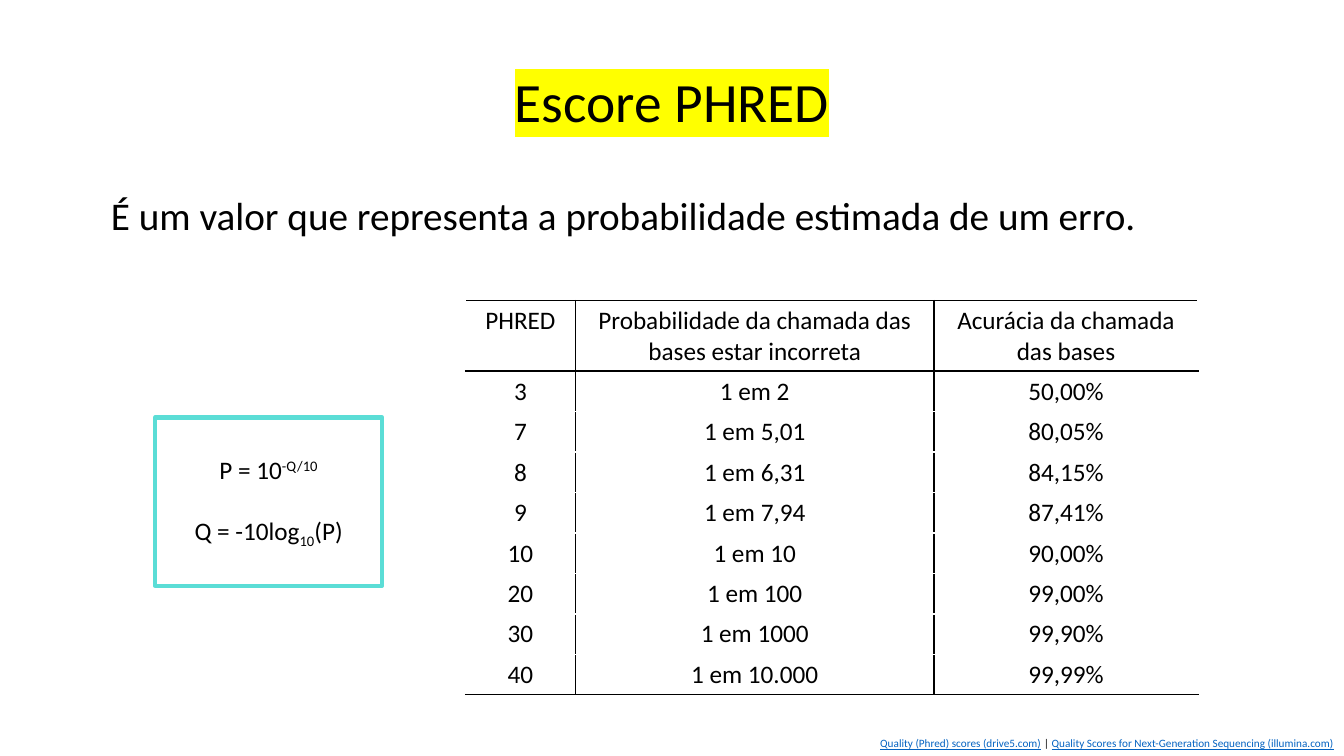
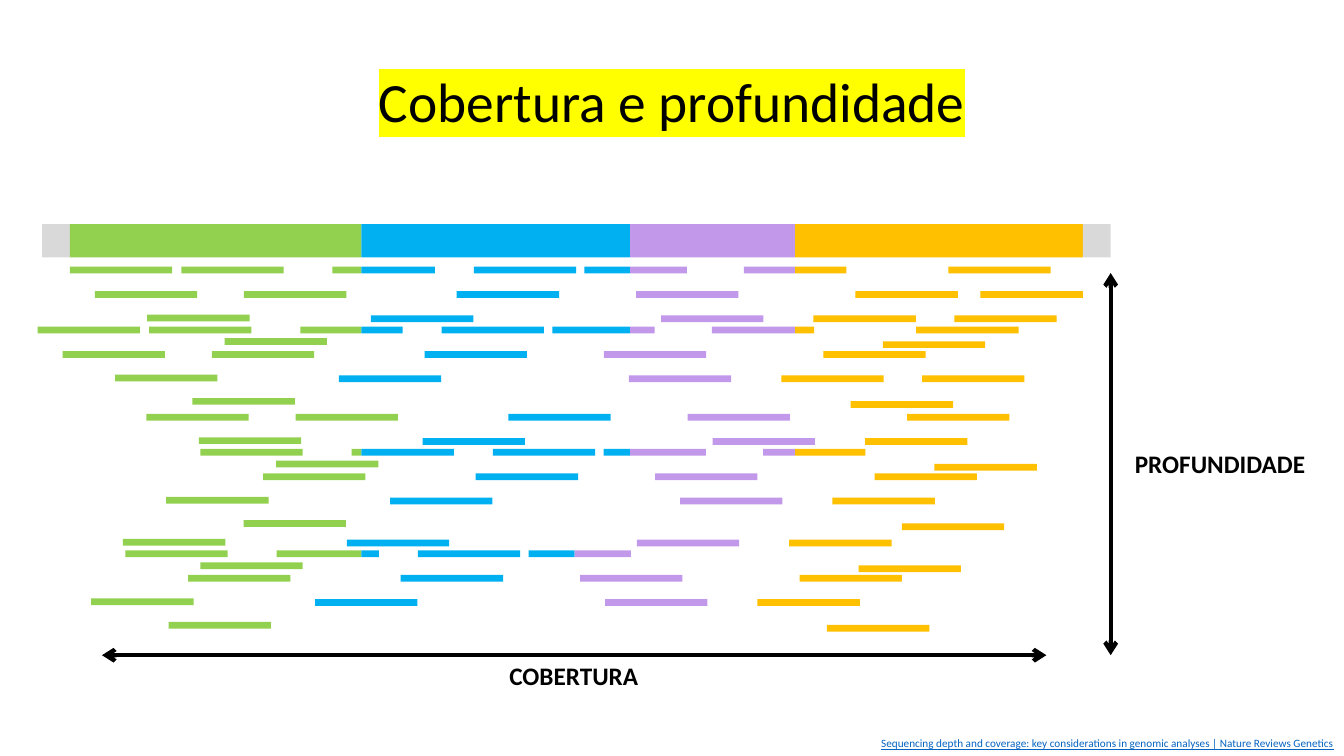
from dataclasses import dataclass

from lxml.etree import SubElement
from pptx import Presentation
from pptx.dml.color import RGBColor
from pptx.enum.shapes import MSO_CONNECTOR, MSO_SHAPE
from pptx.enum.text import MSO_ANCHOR, MSO_AUTO_SIZE, PP_ALIGN
from pptx.oxml.ns import qn
from pptx.util import Cm, Pt

# Shared look
FONT = "Calibri"
BLACK, WHITE, GRAY = "000000", "FFFFFF", "D9D9D9"
YELLOW, LINK, TEAL = "FFFF00", "0563C1", "5BDDD6"
GREEN, BLUE, PURPLE, ORANGE = "92D050", "00B0F0", "C298EA", "FFC000"
SLIDE_W, SLIDE_H = 33.87, 19.05
TITLE_LAYOUT, BODY_LAYOUT = 5, 1


@dataclass(frozen=True)
class Box:
    """Left, top, width and height in centimetres."""
    x: float
    y: float
    w: float
    h: float

    def emu(self):
        return Cm(self.x), Cm(self.y), Cm(self.w), Cm(self.h)


@dataclass(frozen=True)
class Read:
    """A sequenced fragment; one that crosses a gene edge has two colours."""
    x: float
    y: float
    color: str
    edge: float = 0
    next_color: str = ""


@dataclass(frozen=True)
class Pass:
    """One shifted repetition of the chosen reads."""
    dx: float
    dy: float
    names: str


def rgb(color: str) -> RGBColor:
    return RGBColor.from_string(color)


def put_text(p, text: str, *, size: float = 18, color: str = BLACK,
             bold: bool = False, underline: bool = False,
             baseline: int = 0, highlight: str = "") -> None:
    r = p.add_run()
    r.text = text
    f = r.font
    f.size, f.bold, f.underline, f.name = Pt(size), bold, underline, FONT
    f.color.rgb = rgb(color)
    rPr = r._r.get_or_add_rPr()
    if baseline:
        rPr.set("baseline", str(baseline * 1000))
    if highlight:
        mark = SubElement(rPr, qn("a:highlight"))
        SubElement(mark, qn("a:srgbClr"), val=highlight)
        rPr.find(qn("a:solidFill")).addnext(mark)


def add_text_box(s, box: Box, align: PP_ALIGN):
    tf = s.shapes.add_textbox(*box.emu()).text_frame
    tf.word_wrap = True
    p = tf.paragraphs[0]
    p.alignment = align
    return p


def place(sp, box: Box) -> None:
    sp.left, sp.top, sp.width, sp.height = box.emu()
    sp.text_frame.auto_size = MSO_AUTO_SIZE.NONE


def add_slide(prs, layout: int, title: str, sources: list[str]):
    s = prs.slides.add_slide(prs.slide_layouts[layout])
    place(s.shapes.title, Box(2.33, 1.75, 29.21, 1.75))
    tf = s.shapes.title.text_frame
    tf.vertical_anchor = MSO_ANCHOR.MIDDLE
    p = tf.paragraphs[0]
    p.alignment, p.line_spacing = PP_ALIGN.CENTER, 0.9
    put_text(p, title, size=39.6, highlight=YELLOW)
    # Source line at the foot
    p = add_text_box(s, Box(0, 18.44, SLIDE_W, 0.6), PP_ALIGN.RIGHT)
    for i, source in enumerate(sources):
        if i:
            put_text(p, " | ", size=8)
        put_text(p, source, size=8, color=LINK, underline=True)
    return s


def add_rect(s, box: Box, fill: str = "", line: str = ""):
    sp = s.shapes.add_shape(MSO_SHAPE.RECTANGLE, *box.emu())
    sp.shadow.inherit = False
    if fill:
        sp.fill.solid()
        sp.fill.fore_color.rgb = rgb(fill)
    else:
        sp.fill.background()
    if line:
        sp.line.color.rgb = rgb(line)
        sp.line.width = Pt(3)
    else:
        sp.line.fill.background()
    return sp


def add_double_arrow(s, x1: float, y1: float, x2: float, y2: float) -> None:
    c = s.shapes.add_connector(MSO_CONNECTOR.STRAIGHT,
                               Cm(x1), Cm(y1), Cm(x2), Cm(y2))
    c.line.color.rgb = rgb(BLACK)
    c.line.width = Pt(3)
    ln = c.line._get_or_add_ln()
    for end in ("a:headEnd", "a:tailEnd"):
        SubElement(ln, qn(end), type="arrow")
    SubElement(c._element.spPr, qn("a:effectLst"))


def set_borders(cell, sides: str) -> None:
    tcPr = cell._tc.get_or_add_tcPr()
    for side in "LRTB":
        if side in sides:
            ln = SubElement(tcPr, qn(f"a:ln{side}"), w=str(Pt(1)))
            fill = SubElement(ln, qn("a:solidFill"))
            SubElement(fill, qn("a:srgbClr"), val=BLACK)


# Slide 1: PHRED score
PHRED_ROWS = [
    ("PHRED", "Probabilidade da chamada das bases estar incorreta",
     "Acurácia da chamada das bases"),
    ("3", "1 em 2", "50,00%"),
    ("7", "1 em 5,01", "80,05%"),
    ("8", "1 em 6,31", "84,15%"),
    ("9", "1 em 7,94", "87,41%"),
    ("10", "1 em 10", "90,00%"),
    ("20", "1 em 100", "99,00%"),
    ("30", "1 em 1000", "99,90%"),
    ("40", "1 em 10.000", "99,99%"),
]
COL_WIDTHS = (2.77, 9.04, 6.65)
HEADER_H, ROW_H = 1.78, 1.02


def add_phred_table(s) -> None:
    n_rows, n_cols = len(PHRED_ROWS), len(COL_WIDTHS)
    box = Box(11.73, 7.57, sum(COL_WIDTHS), HEADER_H + ROW_H * (n_rows - 1))
    table = s.shapes.add_table(n_rows, n_cols, *box.emu()).table
    table.first_row = table.horz_banding = False
    for col, width in zip(table.columns, COL_WIDTHS):
        col.width = Cm(width)
    for i, values in enumerate(PHRED_ROWS):
        table.rows[i].height = Cm(ROW_H if i else HEADER_H)
        for j, value in enumerate(values):
            cell = table.cell(i, j)
            sides = "L" * (j > 0) + "R" * (j < n_cols - 1)
            sides += "T" * (i < 2) + "B" * (i in (0, n_rows - 1))
            set_borders(cell, sides)
            cell.fill.solid()
            cell.fill.fore_color.rgb = rgb(WHITE)
            p = cell.text_frame.paragraphs[0]
            p.alignment = PP_ALIGN.CENTER
            put_text(p, value)


def build_phred(prs) -> None:
    s = add_slide(prs, BODY_LAYOUT, "Escore PHRED", [
        "Quality (Phred) scores (drive5.com)",
        "Quality Scores for Next-Generation Sequencing (illumina.com)"])
    # Definition
    body = s.placeholders[1]
    place(body, Box(2.54, 4.83, 28.88, 12.67))
    p = body.text_frame.paragraphs[0]
    pPr = p._p.get_or_add_pPr()
    pPr.set("marL", "0")
    pPr.set("indent", "0")
    SubElement(pPr, qn("a:buNone"))
    p.line_spacing, p.space_before = 0.9, Pt(0)
    put_text(p, "É um valor que representa a probabilidade estimada de um erro.",
             size=28)
    add_phred_table(s)
    # Formulas
    tf = add_rect(s, Box(3.91, 10.52, 5.72, 4.24), line=TEAL).text_frame
    tf.vertical_anchor = MSO_ANCHOR.MIDDLE
    p = tf.paragraphs[0]
    p.alignment = PP_ALIGN.CENTER
    put_text(p, "P = 10")
    put_text(p, "-Q/10", baseline=30)
    p = tf.add_paragraph()
    p.alignment, p.space_before = PP_ALIGN.CENTER, Pt(22)
    put_text(p, "Q = -10log")
    put_text(p, "10", baseline=-25)
    put_text(p, "(P)")


# Slide 2: coverage and depth
GENE_EDGES = (1.06, 1.76, 9.11, 15.88, 20.04, 27.29, 27.99)
GENE_COLORS = (GRAY, GREEN, BLUE, PURPLE, ORANGE, GRAY)
READ_W, READ_H = 2.58, 0.17
READS = {
    "g1": Read(1.76, 6.72, GREEN), "g2": Read(3.71, 7.93, GREEN),
    "g3": Read(2.39, 7.34, GREEN), "g4": Read(4.57, 6.72, GREEN),
    "g5": Read(5.66, 8.52, GREEN), "g6": Read(6.15, 7.34, GREEN),
    "b1": Read(9.35, 7.95, BLUE), "b2": Read(11.94, 6.72, BLUE),
    "b3": Read(11.51, 7.34, BLUE),
    "p1": Read(16.03, 7.34, PURPLE), "p2": Read(16.66, 7.95, PURPLE),
    "o1": Read(24.71, 7.34, ORANGE), "o2": Read(20.5, 7.95, ORANGE),
    "o3": Read(23.9, 6.72, ORANGE), "o4": Read(21.56, 7.34, ORANGE),
    "o5": Read(24.05, 7.95, ORANGE), "o6": Read(22.25, 8.6, ORANGE),
    "gb": Read(8.38, 6.72, GREEN, GENE_EDGES[2], BLUE),
    "bp": Read(14.73, 6.72, BLUE, GENE_EDGES[3], PURPLE),
    "bp_early": Read(14.73, 6.72, BLUE, 14.48, PURPLE),
    "po": Read(18.75, 6.72, PURPLE, GENE_EDGES[4], ORANGE),
}
COMMON = "g2 g5 b1 p2 o2 o6 "
MIDDLE = COMMON + "g6 b3 p1 o4 "
FULL = MIDDLE + "g1 g3 g4 b2 o3 o5 gb bp po "
PASSES = [
    Pass(0, 0, FULL + "o1"),
    Pass(-0.81, 1.51, FULL),
    Pass(1.3, 3.09, MIDDLE + "g3"),
    Pass(0.48, 4.59, MIDDLE + "g4 b2 gb bp po"),
    Pass(-0.61, 5.65, COMMON),
    Pass(-1.41, 7.15, MIDDLE + "g4 b2 gb bp_early"),
]


def add_read(s, read: Read, dx: float, dy: float) -> None:
    x, y = read.x + dx, read.y + dy
    end = x + READ_W
    edge = read.edge or end
    add_rect(s, Box(x, y, edge - x, READ_H), read.color)
    if read.next_color:
        add_rect(s, Box(edge, y, end - edge, READ_H), read.next_color)


def build_coverage(prs) -> None:
    s = add_slide(prs, TITLE_LAYOUT, "Cobertura e profundidade", [
        "Sequencing depth and coverage: key considerations in genomic "
        "analyses | Nature Reviews Genetics"])
    # Reference sequence
    for x, end, color in zip(GENE_EDGES, GENE_EDGES[1:], GENE_COLORS):
        add_rect(s, Box(x, 5.65, end - x, 0.84), color)
    # Aligned reads
    for rep in PASSES:
        for name in rep.names.split():
            add_read(s, READS[name], rep.dx, rep.dy)
    # Axes and labels
    add_double_arrow(s, 27.99, 6.88, 27.99, 16.51)
    add_double_arrow(s, 2.57, 16.51, 26.37, 16.51)
    for text, box, align in (
            ("COBERTURA", Box(11.3, 16.51, 6.32, 1.02), PP_ALIGN.CENTER),
            ("PROFUNDIDADE", Box(28.35, 11.18, 4.9, 1.02), PP_ALIGN.LEFT)):
        put_text(add_text_box(s, box, align), text, bold=True)


def main() -> None:
    prs = Presentation()
    prs.slide_width, prs.slide_height = Cm(SLIDE_W), Cm(SLIDE_H)
    build_phred(prs)
    build_coverage(prs)
    prs.save("out.pptx")


if __name__ == "__main__":
    main()
